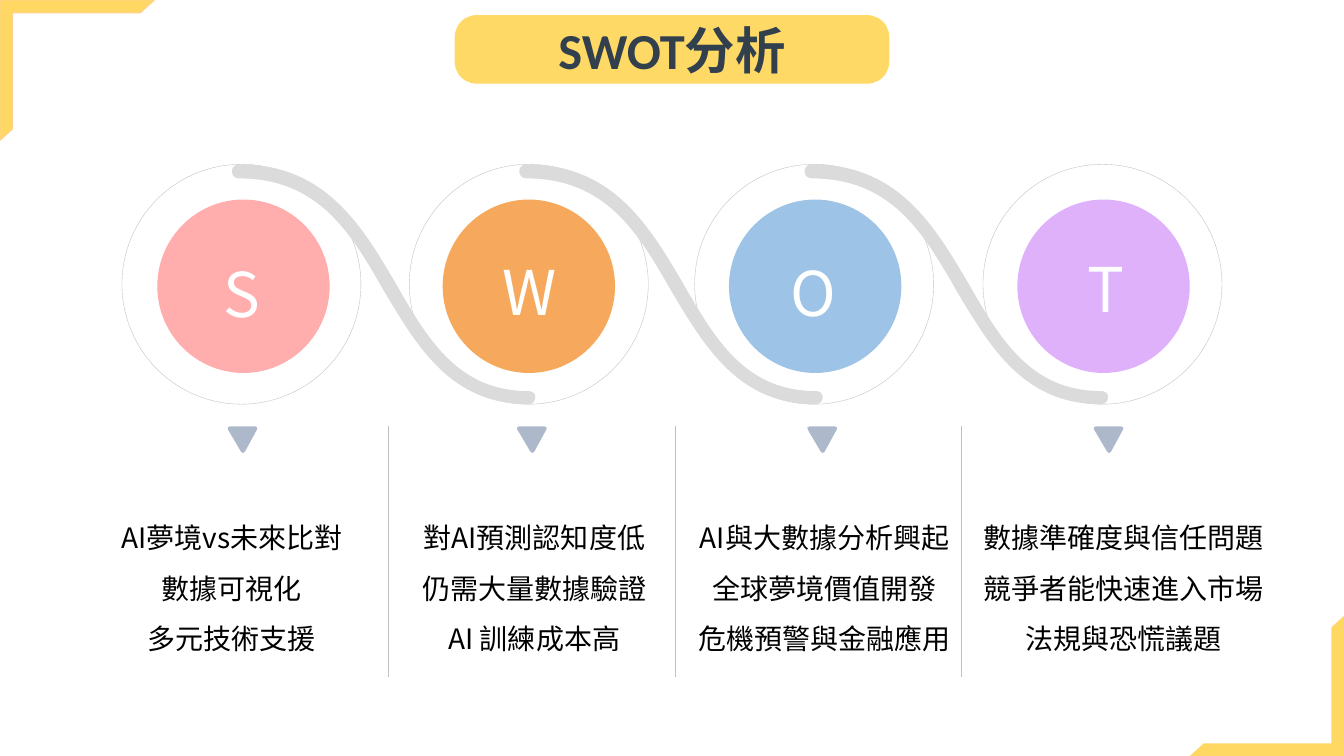
from dataclasses import dataclass

from lxml import etree
from pptx import Presentation
from pptx.dml.color import RGBColor
from pptx.enum.shapes import MSO_CONNECTOR, MSO_SHAPE
from pptx.enum.text import MSO_ANCHOR, MSO_AUTO_SIZE, PP_ALIGN
from pptx.oxml.ns import qn
from pptx.util import Pt

PX = 9144  # EMU in one px, 100 px to the inch
PAGE_WIDTH, PAGE_HEIGHT = 1333, 750
OVAL, FRAME, ROUNDED = MSO_SHAPE.OVAL, MSO_SHAPE.HALF_FRAME, MSO_SHAPE.ROUNDED_RECTANGLE
STRAIGHT = MSO_CONNECTOR.STRAIGHT
CENTER, MIDDLE, TOP = PP_ALIGN.CENTER, MSO_ANCHOR.MIDDLE, MSO_ANCHOR.TOP
GROW = MSO_AUTO_SIZE.SHAPE_TO_FIT_TEXT

RING_TOP = 163

# Each segment holds either one line end or three cubic control points.
POINTER = [(28, 0), [(30, 0), (31, 2), (30, 3)], [(18, 25)],
           [(17, 27), (15, 27), (14, 25)], [(1, 3)],
           [(0, 2), (1, 0), (3, 0)]]
WAVE = [(294, 238), [(217, 238), (184, 181), (151, 126)],
        [(118, 68), (86, 14), (7, 14)], [(3, 14), (0, 11), (0, 7)],
        [(0, 3), (3, 0), (7, 0)], [(93, 0), (129, 61), (163, 119)],
        [(194, 173), (224, 225), (294, 225)],
        [(298, 225), (301, 227), (301, 231)],
        [(301, 235), (298, 238), (294, 238)]]


@dataclass(frozen=True)
class Theme:
    accent: str = "FFC000"
    frame_line: str = "FFD283"
    title: str = "32404E"
    pointer: str = "ADB9CA"
    hairline: str = "BFBFBF"
    wave: str = "DBDBDB"
    letter: str = "FFFFFF"
    body: str = "000000"
    title_font: str = "Calibri"
    body_font: str = "Noto Sans CJK SC"
    title_size: int = 36
    letter_size: int = 44
    body_size: int = 20


@dataclass(frozen=True)
class Column:
    """One SWOT topic; all but left count from the left and top of its ring."""
    letter: str
    color: str
    left: int
    disc_left: int
    letter_at: tuple
    pointer_left: int
    body_left: int
    body_width: int
    lines: tuple


THEME = Theme()
COLUMNS = [
    Column("S", "FFADAD", 121, 35, (44, 86), 104, -29, 276,
           ("AI夢境vs未來比對", "數據可視化", "多元技術支援")),
    Column("W", "F6A95C", 406, 33, (44, 84), 106, -14, 276,
           ("對AI預測認知度低", "仍需大量數據驗證", "AI 訓練成本高")),
    Column("O", "9DC3E6", 689, 34, (43, 85), 111, -9, 276,
           ("AI與大數據分析興起", "全球夢境價值開發", "危機預警與金融應用")),
    Column("T", "DFB1FB", 975, 34, (47, 81), 109, -11, 301,
           ("數據準確度與信任問題", "競爭者能快速進入市場法規與恐慌議題")),
]


def emu(*lengths):
    return [length * PX for length in lengths]


def paint(shape, fill=None, line=None, weight=0.25, alpha=None):
    """Set fill and outline; alpha is the opacity in percent."""
    shape.shadow.inherit = False
    if fill:
        shape.fill.solid()
        shape.fill.fore_color.rgb = RGBColor.from_string(fill)
    else:
        shape.fill.background()
    if alpha:
        color = shape.fill._xPr.find(qn("a:solidFill"))[0]
        etree.SubElement(color, qn("a:alpha")).set("val", str(alpha * 1000))
    if line:
        shape.line.color.rgb = RGBColor.from_string(line)
        shape.line.width = Pt(weight)
    else:
        shape.line.fill.background()


def add_preset(shapes, kind, box, **look):
    shape = shapes.add_shape(kind, *emu(*box))
    paint(shape, **look)
    return shape


def write(shape, lines, color, size, font, bold=False, spacing=None, anchor=TOP):
    frame = shape.text_frame
    frame.word_wrap = True
    frame.vertical_anchor = anchor
    for index, text in enumerate(lines):
        para = frame.paragraphs[0] if index == 0 else frame.add_paragraph()
        para.alignment = CENTER
        para.line_spacing = spacing
        span = para.add_run()
        span.text = text
        for name, value in {"size": Pt(size), "name": font, "bold": bold}.items():
            setattr(span.font, name, value)
        span.font.color.rgb = RGBColor.from_string(color)
        east_asian = etree.SubElement(span._r.get_or_add_rPr(), qn("a:ea"))
        east_asian.set("typeface", THEME.body_font)


def add_text(shapes, box, lines, **style):
    shape = shapes.add_textbox(*emu(*box))
    write(shape, lines, font=THEME.body_font, **style)
    shape.text_frame.auto_size = GROW


def add_outline(shapes, left, top, outline, fill):
    """Draw through all control points, then turn each three into a cubic curve."""
    start, *segments = outline
    builder = shapes.build_freeform(*emu(left + start[0], top + start[1]))
    builder.add_line_segments([emu(left + x, top + y)
                               for controls in segments for x, y in controls])
    shape = builder.convert_to_shape()
    straight = iter(list(shape._element.iter(qn("a:lnTo"))))
    for controls in segments:
        steps = [next(straight) for _ in controls]
        if len(steps) == 3:
            curve = etree.Element(qn("a:cubicBezTo"))
            steps[0].addprevious(curve)
            for step in steps:
                curve.append(step[0])
                step.getparent().remove(step)
    contour = next(shape._element.iter(qn("a:moveTo"))).getparent()
    etree.SubElement(contour, qn("a:close"))
    paint(shape, fill=fill)


def add_title(shapes, box):
    banner = add_preset(shapes, ROUNDED, box, fill=THEME.accent, alpha=60)
    banner.adjustments[0] = 0.32
    write(banner, ["SWOT分析"], THEME.title, THEME.title_size, THEME.title_font,
          bold=True, anchor=MIDDLE)


def add_corners(shapes, width, height):
    corners = [(0, 0, 0, THEME.frame_line),
               (PAGE_WIDTH - width, PAGE_HEIGHT - height, 180, None)]
    for left, top, turn, line in corners:
        corner = add_preset(shapes, FRAME, (left, top, width, height),
                            fill=THEME.accent, line=line, weight=1, alpha=61)
        corner.adjustments[0] = corner.adjustments[1] = 0.09
        corner.rotation = turn


def add_divider(shapes, left, top, height):
    divider = shapes.add_connector(STRAIGHT, *emu(left, top, left, top + height))
    divider.line.color.rgb = RGBColor.from_string(THEME.hairline)
    divider.line.width = Pt(0.25)
    etree.SubElement(divider._element.spPr, qn("a:effectLst"))


def add_badge(shapes, left, top, column):
    badge = shapes.add_group_shape().shapes
    add_preset(badge, OVAL, (left, top, 237, 238), line=THEME.hairline)
    add_preset(badge, OVAL, (left + column.disc_left, top + 35, 171, 172),
               fill=column.color)
    letter_left, letter_top = column.letter_at
    add_text(badge, (left + letter_left, top + letter_top, 150, 84), [column.letter],
             color=THEME.letter, size=THEME.letter_size)


def add_swot(shapes, top):
    for column in COLUMNS:
        add_outline(shapes, column.left + column.pointer_left, top + 260,
                    POINTER, THEME.pointer)
    for column in COLUMNS[:-1]:
        add_divider(shapes, column.left + 264, top + 260, 249)
    for column in COLUMNS:
        add_badge(shapes, column.left, top, column)
    for column in COLUMNS:
        add_text(shapes, (column.left + column.body_left, top + 332,
                          column.body_width, 156), column.lines,
                 color=THEME.body, size=THEME.body_size, spacing=1.5)
    for column in COLUMNS[:-1]:
        add_outline(shapes, column.left + 109, top, WAVE, THEME.wave)


def main():
    deck = Presentation()
    deck.slide_width, deck.slide_height = emu(PAGE_WIDTH, PAGE_HEIGHT)
    page = deck.slides.add_slide(deck.slide_layouts[6])
    add_title(page.shapes, (451, 15, 431, 68))
    add_corners(page.shapes, 153, 139)
    add_swot(page.shapes, RING_TOP)
    deck.save("out.pptx")


if __name__ == "__main__":
    main()
